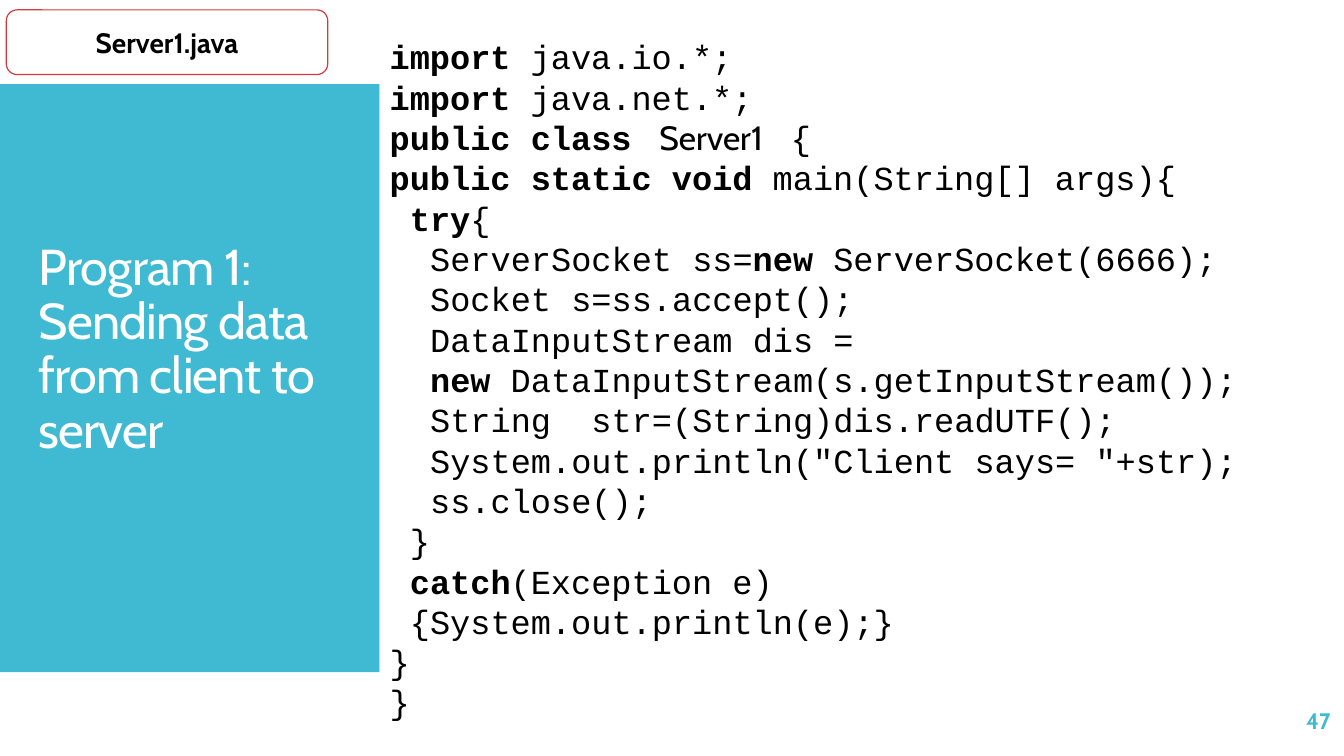
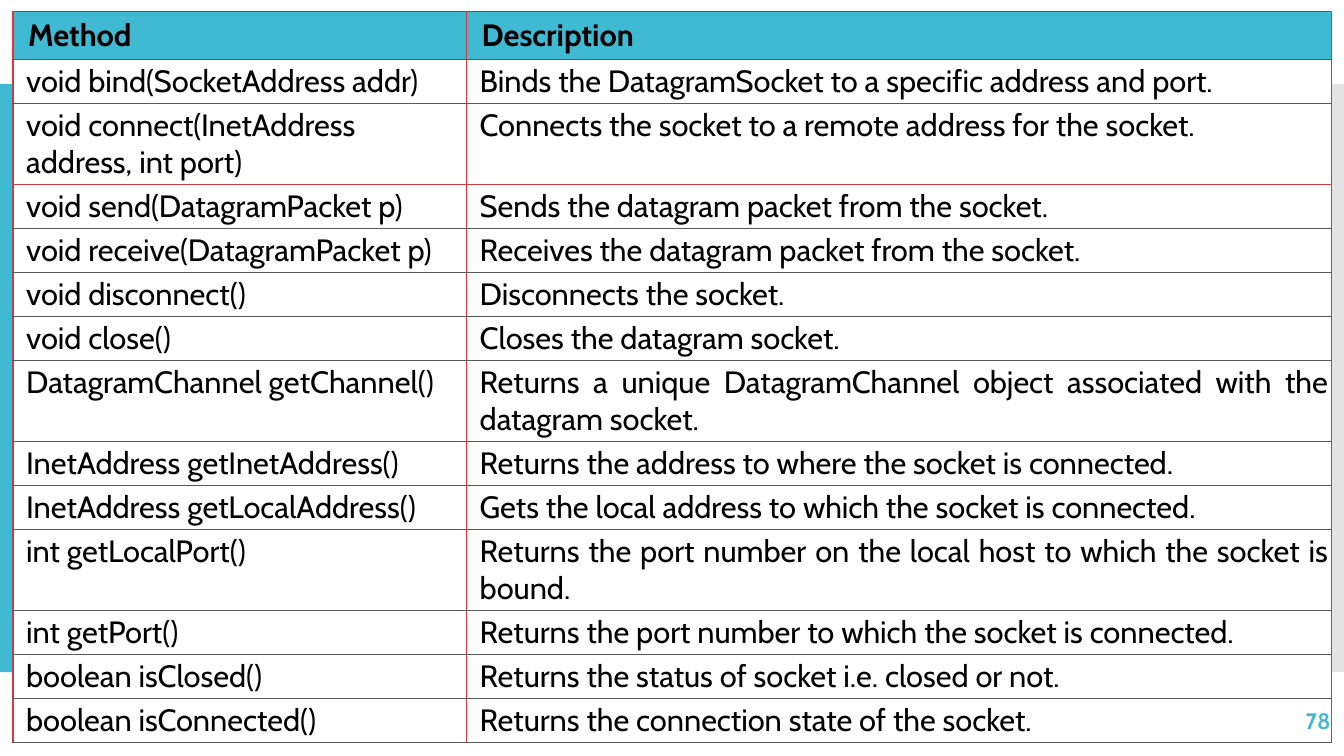
from dataclasses import dataclass
from typing import NamedTuple

from lxml.etree import SubElement
from pptx import Presentation
from pptx.dml.color import RGBColor
from pptx.enum.shapes import MSO_SHAPE
from pptx.enum.text import MSO_ANCHOR, MSO_AUTO_SIZE, PP_ALIGN
from pptx.oxml.ns import qn
from pptx.presentation import Presentation as Deck
from pptx.shapes.autoshape import Shape
from pptx.slide import Slide
from pptx.table import _Cell
from pptx.text.text import _Paragraph
from pptx.util import Cm, Pt


@dataclass(frozen=True)
class Theme:
    accent: str = "40BAD2"
    outline: str = "D5393D"
    rule: str = "595959"
    side: str = "C8C8C8"
    paper: str = "FFFFFF"
    ink: str = "000000"
    text_font: str = "Cabin"
    code_font: str = "Courier New"
    title_size: float = 36
    code_size: float = 24
    code_pitch: float = 28.8
    table_size: float = 22
    label_size: float = 20
    number_size: float = 16


THEME = Theme()


class Box(NamedTuple):
    """Left, top, width and height in centimetres."""
    left: float
    top: float
    width: float
    height: float

    def lengths(self) -> list[Cm]:
        return [Cm(value) for value in self]


class Span(NamedTuple):
    text: str
    bold: bool = False
    font: str | None = None


class CodeLine(NamedTuple):
    depth: int
    spans: tuple[Span, ...]


class Method(NamedTuple):
    signature: str
    description: str


def keyword(text: str) -> Span:
    return Span(text, bold=True)


def line(depth: int, *spans: Span | str) -> CodeLine:
    return CodeLine(depth, tuple(Span(s) if isinstance(s, str) else s for s in spans))


SLIDE_WIDTH, SLIDE_HEIGHT = 33.87, 19.05
BAND_TOP, BAND_HEIGHT = 2.12, 14.82
TITLE_BAND = Box(0, BAND_TOP, 9.57, BAND_HEIGHT)
SIDE_BAND = Box(32.81, BAND_TOP, 1.06, BAND_HEIGHT)
TITLE_BOX = Box(0.72, 2.44, 8.18, 12.78)
CODE_BOX = Box(9.57, 0.38, 24.3, 18.34)
FILE_BOX = Box(0.16, 0.25, 8.1, 1.63)
NUMBER_BOX = Box(29.54, 17.65, 4.24, 1.02)
METHOD_BOX = Box(0.33, 0.3, 33.22, 15.4)
COLUMN_WIDTHS = (11.43, 21.79)
CODE_INDENT = 0.51
CELL_INDENT = 0.25

SERVER_CODE = (
    line(0, keyword("import"), " java.io.*;"),
    line(0, keyword("import"), " java.net.*;"),
    line(0, keyword("public class "), Span(" Server1 ", font=THEME.text_font), " {"),
    line(0, keyword("public static void"), " main(String[] args){"),
    line(1, keyword("try"), "{"),
    line(2, "ServerSocket ss=", keyword("new "), "ServerSocket(6666);"),
    line(2, "Socket s=ss.accept();"),
    line(2, "DataInputStream dis ="),
    line(2, keyword("new "), "DataInputStream(s.getInputStream());"),
    line(2, "String  str=(String)dis.readUTF();"),
    line(2, 'System.out.println("Client says= "+str);'),
    line(2, "ss.close();"),
    line(1, "}"),
    line(1, keyword("catch"), "(Exception e)"),
    line(1, "{System.out.println(e);}"),
    line(0, "}"),
    line(0, "}"),
)

METHOD_HEADER = Method("Method", "Description")
SOCKET_METHODS = (
    Method("void bind(SocketAddress addr)",
           "Binds the DatagramSocket to a specific address and port."),
    Method("void connect(InetAddress address, int port)",
           "Connects the socket to a remote address for the socket."),
    Method("void send(DatagramPacket p)", "Sends the datagram packet from the socket."),
    Method("void receive(DatagramPacket p)", "Receives the datagram packet from the socket."),
    Method("void disconnect()", "Disconnects the socket."),
    Method("void close()", "Closes the datagram socket."),
    Method("DatagramChannel getChannel()",
           "Returns a unique DatagramChannel object associated with the datagram socket."),
    Method("InetAddress getInetAddress()",
           "Returns the address to where the socket is connected."),
    Method("InetAddress getLocalAddress()",
           "Gets the local address to which the socket is connected."),
    Method("int getLocalPort()",
           "Returns the port number on the local host to which the socket is bound."),
    Method("int getPort()", "Returns the port number to which the socket is connected."),
    Method("boolean isClosed()", "Returns the status of socket i.e. closed or not."),
    Method("boolean isConnected()", "Returns the connection state of the socket."),
)
RED_RULE_ROW = 2  # the rule below this row takes the outline colour


def style(paragraph: _Paragraph, size: float, color: str = THEME.ink, bold: bool = False,
          font: str = THEME.text_font, align: PP_ALIGN = PP_ALIGN.LEFT) -> None:
    paragraph.alignment = align
    paragraph.font.name = font
    paragraph.font.size = Pt(size)
    paragraph.font.bold = bold
    paragraph.font.color.rgb = RGBColor.from_string(color)


def indent(paragraph: _Paragraph, distance: float) -> None:
    properties = paragraph._p.get_or_add_pPr()
    properties.set("marL", str(Cm(distance)))
    properties.set("indent", "0")


def add_panel(slide: Slide, box: Box, fill: str,
              kind: MSO_SHAPE = MSO_SHAPE.RECTANGLE) -> Shape:
    panel = slide.shapes.add_shape(kind, *box.lengths())
    panel.shadow.inherit = False
    panel.fill.solid()
    panel.fill.fore_color.rgb = RGBColor.from_string(fill)
    panel.line.fill.background()
    return panel


def move_bands_to_master(deck: Deck, slide: Slide) -> None:
    """Draw both bands on the slide, then hand them to the master behind its placeholders."""
    title_band = add_panel(slide, TITLE_BAND, THEME.accent)
    side_band = add_panel(slide, SIDE_BAND, THEME.side)
    side_color = side_band.element.spPr.find(f"{qn('a:solidFill')}/{qn('a:srgbClr')}")
    SubElement(side_color, qn("a:alpha"), val="50000")
    for position, band in enumerate((title_band, side_band), start=2):
        deck.slide_master.shapes.element.insert(position, band.element)


def add_title(slide: Slide, text: str) -> None:
    title = slide.shapes.title
    title.left, title.top, title.width, title.height = TITLE_BOX.lengths()
    frame = title.text_frame
    frame.text = text
    frame.word_wrap = True
    frame.auto_size = MSO_AUTO_SIZE.NONE
    frame.vertical_anchor = MSO_ANCHOR.MIDDLE
    heading = frame.paragraphs[0]
    style(heading, THEME.title_size, THEME.paper)
    heading.line_spacing = 0.9
    for run in heading.runs:
        run._r.get_or_add_rPr().set("spc", "-60")


def add_code(slide: Slide, code: tuple[CodeLine, ...]) -> None:
    frame = add_panel(slide, CODE_BOX, THEME.paper).text_frame
    frame.word_wrap = True
    frame.vertical_anchor = MSO_ANCHOR.MIDDLE
    for number, code_line in enumerate(code):
        paragraph = frame.add_paragraph() if number else frame.paragraphs[0]
        style(paragraph, THEME.code_size, font=THEME.code_font)
        paragraph.line_spacing = Pt(THEME.code_pitch)
        indent(paragraph, code_line.depth * CODE_INDENT)
        for span in code_line.spans:
            run = paragraph.add_run()
            run.text = span.text
            run.font.bold = span.bold
            if span.font:
                run.font.name = span.font


def add_file_label(slide: Slide, file_name: str) -> None:
    label = add_panel(slide, FILE_BOX, THEME.paper, MSO_SHAPE.ROUNDED_RECTANGLE)
    label.line.color.rgb = RGBColor.from_string(THEME.outline)
    label.line.width = Pt(0.85)
    label.text_frame.text = file_name
    label.text_frame.vertical_anchor = MSO_ANCHOR.MIDDLE
    style(label.text_frame.paragraphs[0], THEME.label_size, bold=True, align=PP_ALIGN.CENTER)


def add_slide_number(slide: Slide, number: int) -> None:
    frame = slide.shapes.add_textbox(*NUMBER_BOX.lengths()).text_frame
    frame.text = str(number)
    frame.word_wrap = True
    frame.vertical_anchor = MSO_ANCHOR.MIDDLE
    style(frame.paragraphs[0], THEME.number_size, THEME.accent, bold=True, align=PP_ALIGN.RIGHT)


def set_borders(cell: _Cell, top: str, bottom: str) -> None:
    sides = {"lnL": THEME.outline, "lnR": THEME.outline, "lnT": top, "lnB": bottom}
    for side, color in sides.items():
        weight = Pt(1) if color == THEME.outline else Pt(0.75)
        border = SubElement(cell._tc.get_or_add_tcPr(), qn(f"a:{side}"), w=str(weight))
        SubElement(SubElement(border, qn("a:solidFill")), qn("a:srgbClr"), val=color)


def rule_below(row: int) -> str:
    return THEME.outline if row == RED_RULE_ROW else THEME.rule


def add_method_table(slide: Slide, methods: tuple[Method, ...]) -> None:
    rows = (METHOD_HEADER, *methods)
    table = slide.shapes.add_table(len(rows), len(COLUMN_WIDTHS), *METHOD_BOX.lengths()).table
    table.first_row = table.horz_banding = False
    for column, width in zip(table.columns, COLUMN_WIDTHS):
        column.width = Cm(width)
    for row, method in enumerate(rows):
        is_header = row == 0
        inset = Cm(0.13 if is_header else 0.08)
        for column, text in enumerate(method):
            cell = table.cell(row, column)
            cell.text = text
            cell.margin_left = cell.margin_right = inset
            cell.margin_top = cell.margin_bottom = inset
            set_borders(cell, rule_below(row - 1), rule_below(row))
            cell.fill.solid()
            cell.fill.fore_color.rgb = RGBColor.from_string(
                THEME.accent if is_header else THEME.paper)
            justified = column == 1 and not is_header
            paragraph = cell.text_frame.paragraphs[0]
            style(paragraph, THEME.table_size, bold=is_header,
                  align=PP_ALIGN.JUSTIFY if justified else PP_ALIGN.LEFT)
            indent(paragraph, CELL_INDENT)


def main() -> None:
    deck = Presentation()
    deck.slide_width, deck.slide_height = Cm(SLIDE_WIDTH), Cm(SLIDE_HEIGHT)
    title_only = deck.slide_layouts[5]

    program = deck.slides.add_slide(title_only)
    move_bands_to_master(deck, program)
    add_title(program, "Program 1: Sending data from client to server")
    add_code(program, SERVER_CODE)
    add_file_label(program, "Server1.java")
    add_slide_number(program, 47)

    reference = deck.slides.add_slide(title_only)
    empty_title = reference.shapes.title.element
    empty_title.getparent().remove(empty_title)
    add_method_table(reference, SOCKET_METHODS)
    add_slide_number(reference, 78)

    deck.save("out.pptx")


if __name__ == "__main__":
    main()
